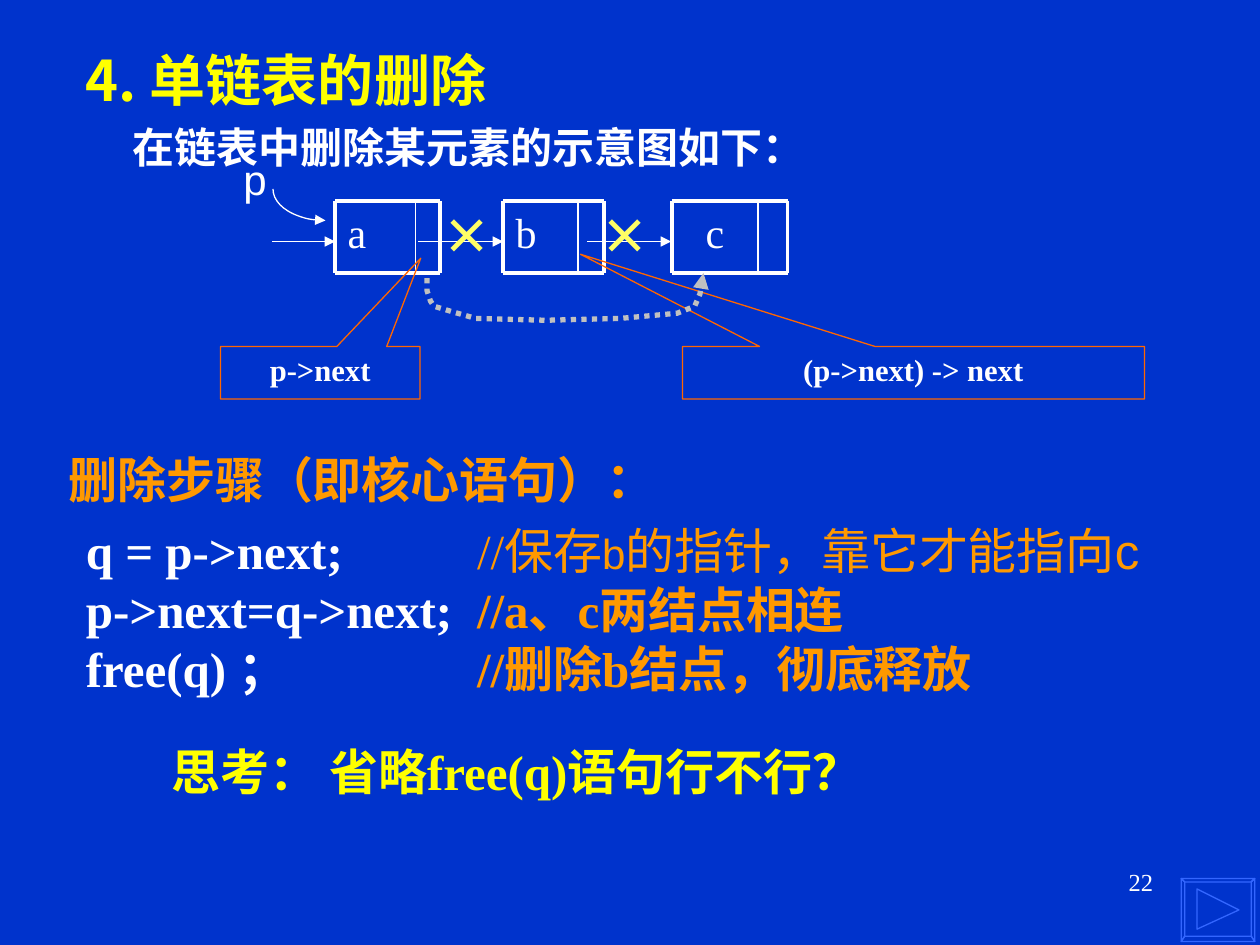
from dataclasses import dataclass

from lxml.etree import SubElement
from pptx import Presentation
from pptx.dml.color import RGBColor
from pptx.enum.dml import MSO_LINE
from pptx.enum.shapes import MSO_CONNECTOR, MSO_SHAPE
from pptx.enum.text import MSO_ANCHOR, PP_ALIGN
from pptx.oxml.ns import qn
from pptx.util import Pt


@dataclass(frozen=True)
class Theme:
    background: str = "0033CC"
    white: str = "FFFFFF"
    yellow: str = "FFFF00"
    cross: str = "FFFF66"
    orange: str = "FF9900"
    callout: str = "FF6600"
    bypass: str = "C0C0C0"
    button: str = "3366FF"
    cjk: str = "Noto Sans CJK SC"
    serif: str = "Times New Roman"
    sans: str = "Arial"
    title: float = 32
    body: float = 28
    label: float = 24
    note: float = 17.5
    number: float = 14


THEME = Theme()


def write(shape, lines, frame=None, para=None, tab=None):
    """Fill a shape with lines, each a list of (text, font, size, colour, bold) runs."""
    text_frame = shape.text_frame
    for key, value in {"word_wrap": True, **(frame or {})}.items():
        setattr(text_frame, key, value)
    for index, line in enumerate(lines):
        paragraph = text_frame.add_paragraph() if index else text_frame.paragraphs[0]
        for key, value in {"alignment": PP_ALIGN.LEFT, **(para or {})}.items():
            setattr(paragraph, key, value)
        if tab:
            stops = SubElement(paragraph._p.get_or_add_pPr(), qn("a:tabLst"))
            SubElement(stops, qn("a:tab"), pos=str(Pt(tab)), algn="l")
        for text, face, size, colour, bold in line:
            run = paragraph.add_run()
            run.text = text
            for key, value in {"name": face, "size": Pt(size), "bold": bold}.items():
                setattr(run.font, key, value)
            run.font.color.rgb = RGBColor.from_string(colour)
            SubElement(run._r.get_or_add_rPr(), qn("a:ea"), typeface=THEME.cjk)


def stroke(shape, colour, width, arrow=None, dash=None):
    """Outline a shape or connector without shadow; arrow is headEnd or tailEnd."""
    if hasattr(shape, "shadow"):
        shape.shadow.inherit = False
    else:
        SubElement(shape._element.spPr, qn("a:effectLst"))
    if hasattr(shape, "fill"):
        shape.fill.background()
    shape.line.color.rgb = RGBColor.from_string(colour)
    shape.line.width = Pt(width)
    if dash:
        shape.line.dash_style = dash
    if arrow:
        SubElement(shape.line._get_or_add_ln(), qn(f"a:{arrow}"), type="triangle")


prs = Presentation()
prs.slide_width, prs.slide_height = Pt(720), Pt(540)
slide = prs.slides.add_slide(prs.slide_layouts[6])
slide.background.fill.solid()
slide.background.fill.fore_color.rgb = RGBColor.from_string(THEME.background)
shapes = slide.shapes

centred = {"alignment": PP_ALIGN.CENTER}
middle = {"vertical_anchor": MSO_ANCHOR.MIDDLE}
unwrapped = {"word_wrap": False}

# Headings, labels and the closing question
captions = [
    ((516, 492, 150, 36), [("22", THEME.serif, THEME.number, THEME.white, False)],
     {}, {"alignment": PP_ALIGN.RIGHT}),
    ((42, 24, 276, 42), [("4. 单链表的删除", THEME.cjk, THEME.title, THEME.yellow, True)],
     middle, {}),
    ((68.4, 66, 398, 36),
     [("在链表中删除某元素的示意图如下：", THEME.cjk, THEME.label, THEME.white, True)],
     unwrapped, {}),
    ((132, 84, 28, 36), [("p", THEME.sans, THEME.label, THEME.white, False)], {}, {}),
    ((31.8, 253.5, 350, 41),
     [("删除步骤（即核心语句）：", THEME.cjk, THEME.body, THEME.orange, True)],
     unwrapped, centred),
    ((54, 420, 482, 41),
     [("思考： 省略", THEME.cjk, THEME.body, THEME.yellow, True),
      ("free(q)语句", THEME.serif, THEME.body, THEME.yellow, True),
      ("行不行？", THEME.cjk, THEME.body, THEME.yellow, True)],
     {}, centred),
]
for place, line, frame, para in captions:
    write(shapes.add_textbox(*map(Pt, place)), [line], frame, para)

# List nodes, each ruled into a data cell and a pointer cell
node_top, node_bottom = 114.75, 156.25
for data, left, width, cell, para in [("c", 384, 66, 49, centred),
                                      ("a", 191.5, 60, 46, {}),
                                      ("b", 287.5, 57.5, 43, {})]:
    write(shapes.add_textbox(Pt(left), Pt(node_top), Pt(cell), Pt(node_bottom - node_top)),
          [[(data, THEME.serif, THEME.label, THEME.white, False)]], para=para)
    right, split = left + width, left + cell
    for *ends, weight in [(left, node_top, right, node_top, 2.25),
                          (left, node_bottom, right, node_bottom, 2.25),
                          (left, node_top, left, node_bottom, 2.25),
                          (split, node_top, split, node_bottom, 1),
                          (right, node_top, right, node_bottom, 2.25)]:
        rule = shapes.add_connector(MSO_CONNECTOR.STRAIGHT, *map(Pt, ends))
        stroke(rule, THEME.white, weight)

# Links between nodes
link_y = 138
for start, end in [(155.5, 191.5), (239, 287.5), (335.5, 383.5)]:
    link = shapes.add_connector(MSO_CONNECTOR.STRAIGHT, Pt(start), Pt(link_y),
                                Pt(end), Pt(link_y))
    stroke(link, THEME.white, 0.75, "tailEnd")

pointer = shapes.add_shape(MSO_SHAPE.ARC, Pt(156), Pt(90), Pt(60), Pt(36))
pointer.adjustments[0], pointer.adjustments[1] = 54, 108  # 90 to 180 degrees
stroke(pointer, THEME.white, 0.75, "headEnd")

# Deletion steps
steps = [
    [("q = p->next;\t", THEME.serif, THEME.body, THEME.white, True),
     ("//", THEME.serif, THEME.body, THEME.orange, False),
     ("保存", THEME.cjk, THEME.body, THEME.orange, False),
     ("b", THEME.sans, THEME.label, THEME.orange, False),
     ("的指针，靠它才能指向c", THEME.sans, THEME.body, THEME.orange, False)],
    [("p->next=q->next;\t", THEME.serif, THEME.body, THEME.white, True),
     ("//a、c两结点相连", THEME.serif, THEME.body, THEME.orange, True)],
    [("free(q) ；\t", THEME.serif, THEME.body, THEME.white, True),
     ("//删除b结点，彻底释放", THEME.serif, THEME.body, THEME.orange, True)],
]
write(shapes.add_textbox(Pt(42), Pt(294), Pt(648), Pt(142)), steps, tab=223.5)

# Callouts naming the two pointers
for text, left, width, tip in [("p->next", 126, 114, (0.504, -2.183)),
                               ("(p->next) -> next", 390, 264, (-0.721, -2.258))]:
    callout = shapes.add_shape(MSO_SHAPE.RECTANGULAR_CALLOUT, Pt(left), Pt(198),
                               Pt(width), Pt(30))
    callout.adjustments[0], callout.adjustments[1] = tip
    stroke(callout, THEME.callout, 0.75)
    write(callout, [[(text, THEME.serif, THEME.note, THEME.white, True)]],
          middle, {**centred, "line_spacing": 0.8})

# Dotted bypass from a to c
bypass_points = [(243.5, 159), (244.5, 166), (246, 172), (248.4, 175), (257.8, 178),
                 (272, 182.3), (312.5, 182.6), (354, 182.2), (386.6, 179.3),
                 (397.4, 175), (400.5, 168), (401.8, 156.2)]
bypass = shapes.build_freeform(*bypass_points[0], scale=Pt(1))
bypass.add_line_segments(bypass_points[1:], close=False)
stroke(bypass.convert_to_shape(), THEME.bypass, 3, "tailEnd", MSO_LINE.ROUND_DOT)

# Crosses over the removed links
for left in (246, 336):
    write(shapes.add_textbox(Pt(left), Pt(114), Pt(36), Pt(41)),
          [[("×", THEME.cjk, THEME.body, THEME.cross, True)]])

# Bevelled button with a forward triangle
outer = [(675, 502), (717, 502), (717, 538), (675, 538)]
inner = [(677.4, 504.2), (714.6, 504.2), (714.6, 535.4), (677.4, 535.4)]
facets = [[outer[i], outer[(i + 1) % 4], inner[(i + 1) % 4], inner[i]] for i in range(4)]
triangle = [(684.2, 507.8), (707.8, 519.6), (684.2, 531.4)]
button = shapes.build_freeform(*outer[0], scale=Pt(1))
button.add_line_segments(outer[1:])
for outline in [*facets, triangle]:
    button.move_to(*outline[0])
    button.add_line_segments(outline[1:])
stroke(button.convert_to_shape(), THEME.button, 0.75)

prs.save("out.pptx")
